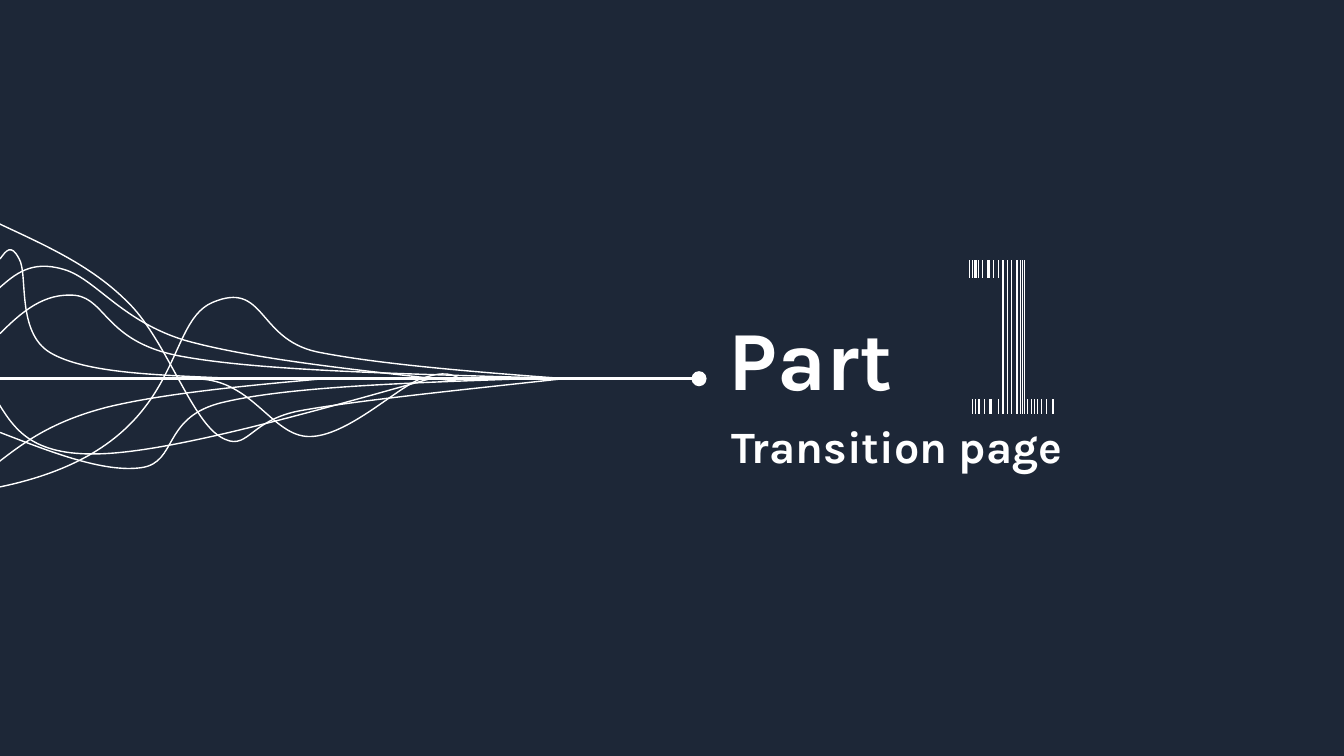
from dataclasses import dataclass

from lxml import etree
from pptx import Presentation
from pptx import util as u
from pptx.dml import color
from pptx.enum import shapes, text
from pptx.oxml import ns

NAVY = "1D2737"
WHITE = "FFFFFF"
FONT = "Karla"
BOUND_STEPS = 24
AXIS_Y = 270.5

Point = tuple[float, float]
Segment = tuple[Point, Point, Point]


@dataclass(frozen=True)
class Wave:
    start: Point
    segments: tuple[Segment, ...]


@dataclass(frozen=True)
class BarRow:
    top: float
    bottom: float
    bars: tuple[tuple[float, float], ...]


@dataclass(frozen=True)
class Heading:
    wording: str
    left: float
    top: float
    width: float
    height: float
    size: float


WAVES = (
    Wave((329, 270.7), (
        ((323.3, 267.8), (318.2, 264.2), (300.2, 270.7)),
        ((282.2, 277.9), (247.7, 311.8), (221, 311.8)),
        ((194.4, 311.8), (180.7, 271.4), (141.1, 270.7)))),
    Wave((391.7, 270), (
        ((290.2, 267.1), (188.6, 265), (131.8, 254.9)),
        ((75.6, 245.5), (76.3, 213.8), (54, 211)),
        ((31.7, 208.8), (15.8, 222.5), (0, 238.3)))),
    Wave((370.8, 270.7), (
        ((288, 273.6), (205.2, 276.5), (159.8, 287.3)),
        ((115.2, 297.4), (127.4, 330.5), (100.8, 334.1)),
        ((74.2, 337.7), (37.4, 323.3), (0, 308.9)))),
    Wave((406.8, 270.7), (
        ((337.7, 265.7), (268.6, 259.9), (226.1, 251.3)),
        ((183.6, 241.9), (189.4, 200.2), (151.9, 216)),
        ((114.5, 231.8), (135.4, 319.7), (0, 347.8)))),
    Wave((401, 270.7), (
        ((329, 278.6), (257.8, 285.8), (216.7, 293)),
        ((176.4, 299.5), (177.8, 324.7), (157, 311.8)),
        ((136.1, 298.8), (117.4, 240.5), (90.7, 215.3)),
        ((64.8, 189.4), (31.7, 175), (-0.7, 159.8)))),
    Wave((326.2, 272.2), (
        ((252.7, 264.2), (180, 256.3), (133.2, 243.4)),
        ((86.4, 229.7), (67.7, 198), (44.6, 192.2)),
        ((22.3, 185.8), (10.8, 195.8), (-0.7, 205.9)))),
    Wave((306.7, 270.7), (
        ((217.4, 295.9), (127.4, 321.1), (76.3, 324)),
        ((24.5, 326.9), (11.5, 308.2), (-0.7, 288.7)))),
    Wave((159.8, 270), (
        ((110.2, 267.8), (60.5, 266.4), (36, 252)),
        ((11.5, 237.6), (20.2, 195.8), (13.7, 185)),
        ((7.9, 173.5), (4.3, 179.3), (0, 185)))),
    Wave((-0.7, 329.8), (
        ((18, 315.4), (37.4, 301), (76.3, 290.9)),
        ((114.5, 281.5), (171.4, 275.8), (229, 270.7)))),
)

DIGIT_ONE = (
    BarRow(185.8, 295.4, (
        (716.2, 1.5), (719.3, 0.5), (722.7, 0.75), (726.5, 1.5),
        (728.6, 0.5), (730.1, 0.5), (732, 0.5))),
    BarRow(285.1, 295.4, (
        (694.8, 0.5), (697, 0.5), (699.1, 1.5), (703.4, 0.5), (707.8, 2.25),
        (712.8, 0.5), (733.7, 0.5), (736.6, 0.5), (738.7, 0.5), (740.9, 0.5),
        (743.8, 1), (747.4, 1), (751.9, 1.5))),
    BarRow(185.8, 198.3, (
        (692.6, 0.5), (694.8, 0.5), (696.8, 1.5), (699.1, 0.5), (702, 0.5),
        (706.3, 2.25), (709.9, 0.5), (712.8, 0.5))),
)

PART = Heading("Part", 513.4, 215.3, 154.8, 79.9, 60)
SUBTITLE = Heading("Transition page", 515.5, 295.2, 267.8, 46.1, 32)


def paint(target, hex_color: str) -> None:
    target.solid()
    target.fore_color.rgb = color.RGBColor.from_string(hex_color)


def draw_line(container, start: Point, end: Point, width: float) -> None:
    connector = container.add_connector(
        shapes.MSO_CONNECTOR.STRAIGHT, *(u.Pt(value) for value in start + end))
    paint(connector.line.fill, WHITE)
    connector.line.width = u.Pt(width)
    etree.SubElement(connector._element.spPr, ns.qn("a:effectLst"))


def points_along(wave: Wave) -> list[Point]:
    points = []
    start = wave.start
    for first, second, end in wave.segments:
        for step in range(1, BOUND_STEPS + 1):
            t = step / BOUND_STEPS
            s = 1 - t
            points.append(tuple(
                s**3 * a + 3 * s * s * t * b + 3 * s * t * t * c + t**3 * d
                for a, b, c, d in zip(start, first, second, end)))
        start = end
    return points


def bend(shape, wave: Wave) -> None:
    outline = next(shape._element.iter(ns.qn("a:path")))
    for straight in outline.findall(ns.qn("a:lnTo")):
        outline.remove(straight)
    for segment in wave.segments:
        curve = etree.SubElement(outline, ns.qn("a:cubicBezTo"))
        for x, y in segment:
            etree.SubElement(curve, ns.qn("a:pt"), {
                "x": str(u.Pt(x) - shape.left), "y": str(u.Pt(y) - shape.top)})


def draw_wave(slide, wave: Wave) -> None:
    builder = slide.shapes.build_freeform(*(u.Pt(value) for value in wave.start))
    builder.add_line_segments(
        [(u.Pt(x), u.Pt(y)) for x, y in points_along(wave)], close=False)
    shape = builder.convert_to_shape()
    bend(shape, wave)
    shape.shadow.inherit = False
    shape.fill.background()
    paint(shape.line.fill, WHITE)
    shape.line.width = u.Pt(1)


def draw_axis(slide) -> None:
    group = slide.shapes.add_group_shape()
    draw_line(group.shapes, (-7.9, AXIS_Y), (499.7, AXIS_Y), 2.25)
    dot = group.shapes.add_shape(
        shapes.MSO_SHAPE.OVAL, u.Pt(493.9), u.Pt(265.1), u.Pt(10.8), u.Pt(10.8))
    dot.shadow.inherit = False
    paint(dot.fill, WHITE)
    dot.line.fill.background()


def draw_digit(slide, rows: tuple[BarRow, ...]) -> None:
    group = slide.shapes.add_group_shape()
    for row in rows:
        for x, width in row.bars:
            draw_line(group.shapes, (x, row.top), (x, row.bottom), width)


def write_heading(placeholder, heading: Heading) -> None:
    placeholder.left, placeholder.top = u.Pt(heading.left), u.Pt(heading.top)
    placeholder.width, placeholder.height = u.Pt(heading.width), u.Pt(heading.height)
    frame = placeholder.text_frame
    frame.word_wrap = True
    frame.auto_size = text.MSO_AUTO_SIZE.SHAPE_TO_FIT_TEXT
    frame.vertical_anchor = text.MSO_ANCHOR.TOP
    paragraph = frame.paragraphs[0]
    paragraph.alignment = text.PP_ALIGN.LEFT
    paragraph.space_before = u.Pt(0)
    run = paragraph.add_run()
    run.text = heading.wording
    run.font.name = FONT
    run.font.size = u.Pt(heading.size)
    run.font.bold = True
    paint(run.font.fill, WHITE)


def main() -> None:
    presentation = Presentation()
    presentation.slide_width, presentation.slide_height = u.Pt(960), u.Pt(540)
    slide = presentation.slides.add_slide(presentation.slide_layouts[0])
    paint(slide.background.fill, NAVY)
    for wave in WAVES:
        draw_wave(slide, wave)
    draw_axis(slide)
    write_heading(slide.shapes.title, PART)
    write_heading(slide.placeholders[1], SUBTITLE)
    draw_digit(slide, DIGIT_ONE)
    presentation.save("out.pptx")


if __name__ == "__main__":
    main()
